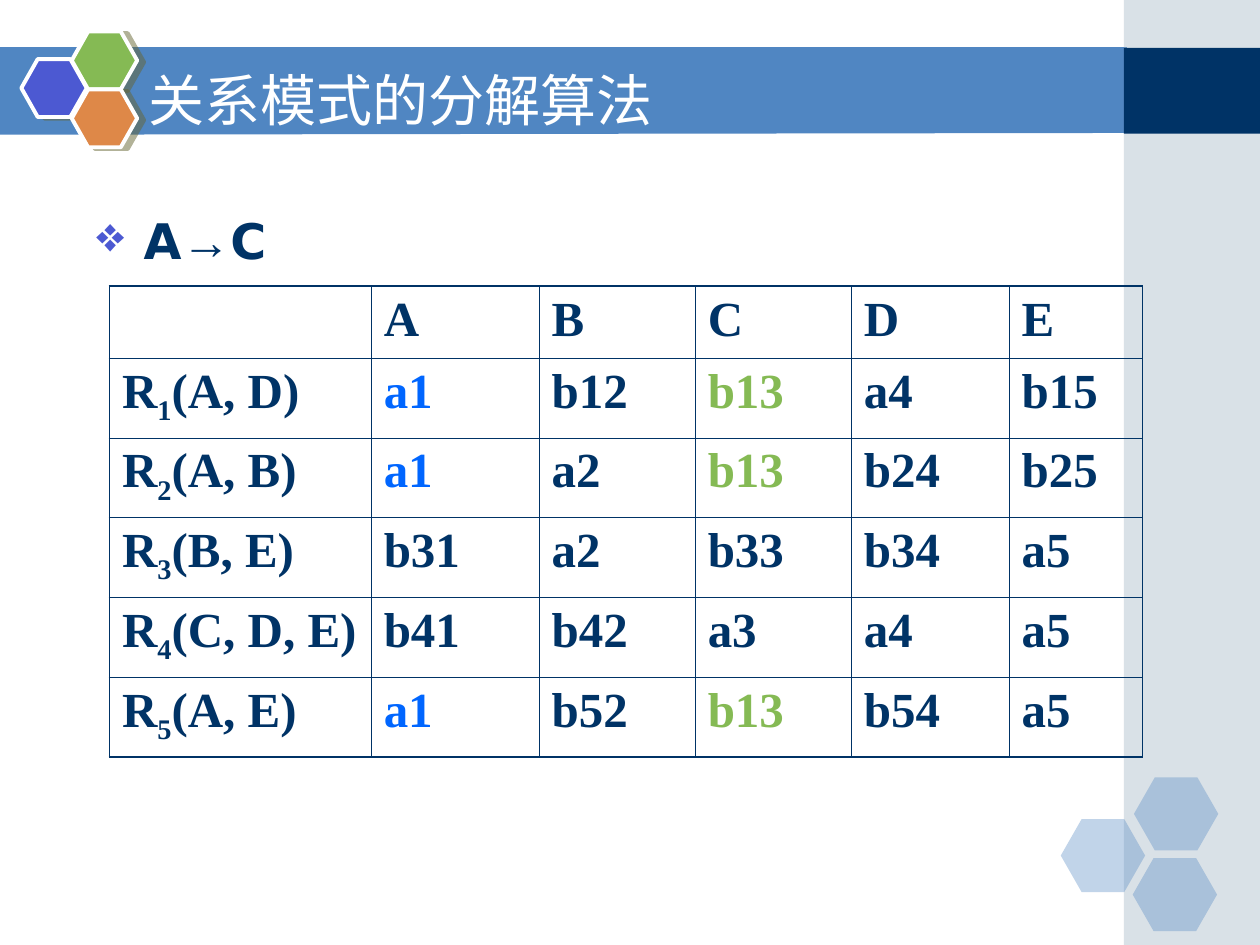
from lxml.etree import SubElement
from pptx import Presentation
from pptx.dml.color import RGBColor
from pptx.enum.shapes import MSO_SHAPE as Preset
from pptx.enum.text import MSO_ANCHOR as Anchor
from pptx.oxml.ns import qn
from pptx.util import Pt

NAVY = RGBColor(0x00, 0x33, 0x66)
STEEL = RGBColor(0x50, 0x86, 0xC2)
MIST = RGBColor(0xA0, 0xB5, 0xC4)
INDIGO = RGBColor(0x4C, 0x59, 0xD2)
GREEN = RGBColor(0x85, 0xBA, 0x54)
ORANGE = RGBColor(0xDE, 0x88, 0x48)
OLIVE = RGBColor(0x66, 0x66, 0x33)
BLUE = RGBColor(0x00, 0x66, 0xFF)
WHITE = RGBColor(0xFF, 0xFF, 0xFF)

SANS, SERIF, ARROW_FONT = "DejaVu Sans", "Times New Roman", "Arial"
THIN, THICK = 0.45, 1.08

COLUMN_WIDTHS = [149.5, 96, 89.2, 89.2, 90.2, 76.3]
HEADER_HEIGHT, ROW_HEIGHT = 41.1, 45.6
ATTRIBUTES = ["A", "B", "C", "D", "E"]
RELATIONS = [
    ("(A, D)", ["a1", "b12", "b13", "a4", "b15"]),
    ("(A, B)", ["a1", "a2", "b13", "b24", "b25"]),
    ("(B, E)", ["b31", "a2", "b33", "b34", "a5"]),
    ("(C, D, E)", ["b41", "b42", "a3", "a4", "a5"]),
    ("(A, E)", ["a1", "b52", "b13", "b54", "a5"]),
]
HIGHLIGHTS = {"a1": BLUE, "b13": GREEN}


def add_color(parent, color, alpha=None):
    clr = SubElement(parent, qn("a:srgbClr"), val=str(color))
    if alpha is not None:
        SubElement(clr, qn("a:alpha"), val=str(alpha * 1000))


def add_run(paragraph, text, size, color, font=SANS, bold=False, baseline=0):
    run = paragraph.add_run()
    run.text = text
    run.font.size = Pt(size)
    run.font.bold = bold
    run.font.color.rgb = color
    run.font.name = font
    props = run._r.get_or_add_rPr()
    SubElement(props, qn("a:ea"), typeface=font)
    if baseline:
        props.set("baseline", str(baseline * 1000))


def paint(shape, color, alpha=None):
    shape.shadow.inherit = False
    shape.line.fill.background()
    shape.fill.solid()
    shape.fill.fore_color.rgb = color
    if alpha is not None:
        clr = shape.fill._xPr.find(qn("a:solidFill")).find(qn("a:srgbClr"))
        SubElement(clr, qn("a:alpha"), val=str(alpha * 1000))


def add_preset(shapes, preset, box, color, alpha=None):
    shape = shapes.add_shape(preset, *map(Pt, box))
    paint(shape, color, alpha)
    return shape


def add_title_band(slide, left, top, width, height):
    builder = slide.shapes.build_freeform(left, top, scale=Pt(1))
    right, bottom = left + width, top + height
    builder.add_line_segments([(right, top), (right, bottom - 0.5), (left, bottom)])
    paint(builder.convert_to_shape(), STEEL)


def add_side_panel(slide, left, top, width, height):
    panel = slide.shapes.add_group_shape().shapes
    add_preset(panel, Preset.RECTANGLE, (left, top, width, height), MIST, 40)
    add_preset(panel, Preset.RECTANGLE, (left, top + 27.4, width, 49), NAVY)


def add_corner_hexagons(slide, left, top):
    for dx, dy in [(0, 23.8), (41.8, 0), (41.1, 46.1)]:
        hexagon = add_preset(slide.shapes, Preset.HEXAGON,
                             (left + dx, top + dy, 48.2, 41.8), STEEL, 35)
        hexagon.adjustments[0] = 0.286


def add_emblem(slide, left, top):
    emblem = slide.shapes.add_group_shape().shapes
    for dx, dy, color in [(0, 15.8, INDIGO), (28.8, 0, GREEN), (28.8, 33.1, ORANGE)]:
        hexagon = add_preset(emblem, Preset.HEXAGON,
                             (left + dx, top + dy, 37.4, 33.1), color)
        hexagon.adjustments[0] = 0.283
        hexagon.line.color.rgb = WHITE
        hexagon.line.width = Pt(2.25)
        # Hard shadow to the right
        effects = hexagon._element.spPr.find(qn("a:effectLst"))
        shadow = SubElement(effects, qn("a:outerShdw"), blurRad="0",
                            dist=str(Pt(4.1)), dir=str(14 * 60000),
                            algn="ctr", rotWithShape="0")
        add_color(shadow, OLIVE, 50)


def add_title(slide, *box):
    frame = slide.shapes.add_textbox(*map(Pt, box)).text_frame
    frame.word_wrap = True
    frame.vertical_anchor = Anchor.MIDDLE
    add_run(frame.paragraphs[0], "关系模式的分解算法", 32, WHITE)


def add_dependency(slide, *box):
    frame = slide.shapes.add_textbox(*map(Pt, box)).text_frame
    frame.word_wrap = True
    dependency = frame.paragraphs[0]
    props = dependency._p.get_or_add_pPr()
    props.set("marL", str(Pt(27)))
    props.set("indent", str(-Pt(27)))
    add_color(SubElement(props, qn("a:buClr")), INDIGO)
    SubElement(props, qn("a:buChar"), char="❖")
    for text, font in [("A", SANS), ("→", ARROW_FONT), ("C", SANS)]:
        add_run(dependency, text, 28, NAVY, font, bold=True)


def style_cell(cell, edges):
    props = cell._tc.get_or_add_tcPr()
    for side in "LRTB":
        width = THICK if side in edges else THIN
        line = SubElement(props, qn(f"a:ln{side}"), w=str(Pt(width)))
        add_color(SubElement(line, qn("a:solidFill")), NAVY)
    cell.fill.background()


def add_tableau(slide, left, top):
    heights = [HEADER_HEIGHT] + [ROW_HEIGHT] * len(RELATIONS)
    table = slide.shapes.add_table(
        len(heights), len(COLUMN_WIDTHS), Pt(left), Pt(top),
        Pt(sum(COLUMN_WIDTHS)), Pt(sum(heights))).table
    table.first_row = table.horz_banding = False
    for column, width in zip(table.columns, COLUMN_WIDTHS):
        column.width = Pt(width)
    for row, height in zip(table.rows, heights):
        row.height = Pt(height)

    # Each cell is a list of (text, baseline) runs
    rows = [[[]] + [[(name, 0)] for name in ATTRIBUTES]]
    for number, (scheme, symbols) in enumerate(RELATIONS, 1):
        label = [("R", 0), (str(number), -25), (scheme, 0)]
        rows.append([label] + [[(symbol, 0)] for symbol in symbols])

    last_row, last_col = len(rows) - 1, len(COLUMN_WIDTHS) - 1
    for r, row in enumerate(rows):
        for c, runs in enumerate(row):
            cell = table.cell(r, c)
            outer = {"L": c == 0, "R": c == last_col, "T": r == 0, "B": r == last_row}
            style_cell(cell, [side for side, is_outer in outer.items() if is_outer])
            for text, baseline in runs:
                add_run(cell.text_frame.paragraphs[0], text, 28,
                        HIGHLIGHTS.get(text, NAVY), SERIF, True, baseline)


def main():
    prs = Presentation()
    prs.slide_width, prs.slide_height = Pt(720), Pt(540)
    slide = prs.slides.add_slide(prs.slide_layouts[6])

    # Background decoration
    add_title_band(slide, -0.72, 27.4, 645, 49.5)
    add_side_panel(slide, 642.2, 0, 77.8, 540)
    add_corner_hexagons(slide, 606.2, 444.2)
    add_emblem(slide, 12.2, 18)

    # Content
    add_title(slide, 77.8, 36, 612, 41)
    add_dependency(slide, 48, 116.6, 300, 324)
    add_tableau(slide, 62.6, 163.6)
    prs.save("out.pptx")


if __name__ == "__main__":
    main()
